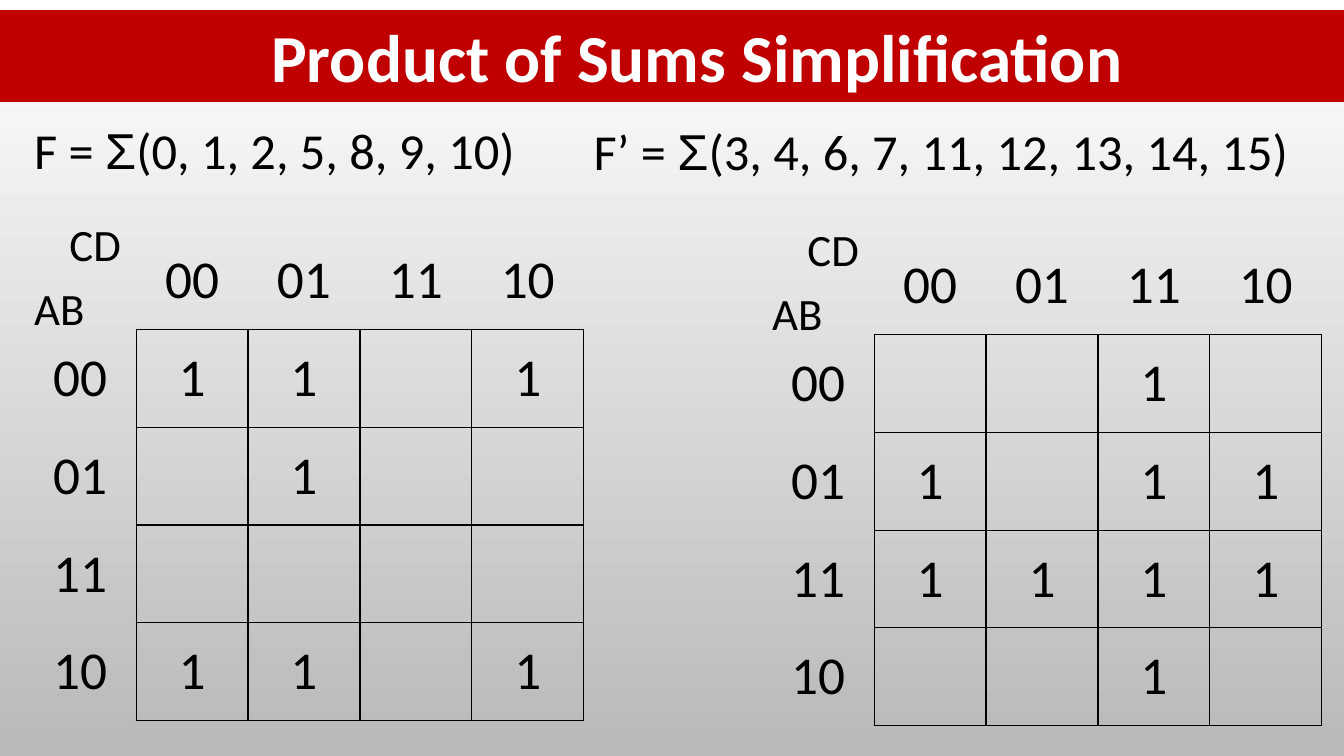
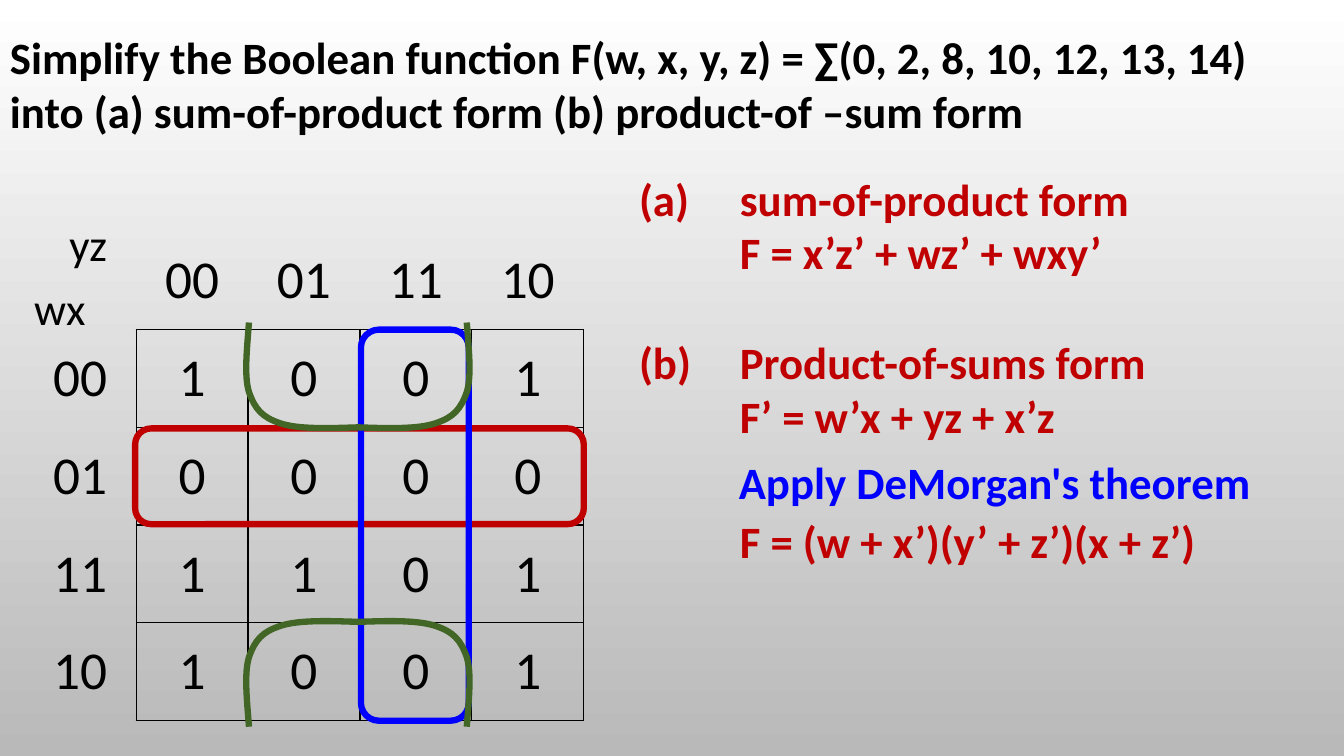
from dataclasses import dataclass

from lxml import etree
from pptx import Presentation
from pptx.dml.color import RGBColor
from pptx.enum.shapes import MSO_SHAPE
from pptx.enum.text import MSO_ANCHOR, PP_ALIGN
from pptx.oxml.ns import qn
from pptx.util import Pt

RECTANGLE = MSO_SHAPE.RECTANGLE
ROUNDED = MSO_SHAPE.ROUNDED_RECTANGLE
CENTER = PP_ALIGN.CENTER
MIDDLE = MSO_ANCHOR.MIDDLE

EMU_PER_PX = 9144
SLIDE_WIDTH, SLIDE_HEIGHT = 1333, 750
CELL_WIDTH, CELL_HEIGHT = 111, 97
GRAY_CODE = (0, 1, 3, 2)
HALF_ARCH = (
    (-108, 104), (-110, 78), (-113, 51), (-108, 35), (-102, 18),
    (-95, 10), (-77, 4), (-59, -2), (-29, -1), (0, 0),
)


@dataclass(frozen=True)
class Theme:
    """Colours, fonts and type sizes shared by the slides."""
    font: str = "Calibri"
    symbol_font: str = "Arial"
    black: str = "000000"
    white: str = "FFFFFF"
    gray: str = "B9B9B9"
    red: str = "C00000"
    blue: str = "0000FF"
    green: str = "426626"
    title_size: int = 48
    cell_size: int = 38
    formula_size: int = 36
    body_size: int = 32
    grid_line: int = 1
    loop_line: float = 4.5


THEME = Theme()


def px(length):
    """Turn px into EMU."""
    return length * EMU_PER_PX


def box_in_emu(box):
    """Turn a left, top, width, height box into EMU."""
    return [px(length) for length in box]


def style_paragraph(paragraph, size, color=THEME.black, bold=False):
    """Set the font of a whole paragraph."""
    font = paragraph.font
    font.name = THEME.font
    font.size = Pt(size)
    font.bold = bold
    font.color.rgb = RGBColor.from_string(color)


def set_indent(paragraph, margin, first_line=0):
    """Set the left margin and first-line indent of a paragraph."""
    properties = paragraph._p.get_or_add_pPr()
    properties.set("marL", str(px(margin)))
    properties.set("indent", str(px(first_line)))


def add_text(slide, box, lines, size=THEME.body_size, color=THEME.black,
             bold=False, spacing=None):
    """Add a text box with one paragraph per line and return its paragraphs."""
    frame = slide.shapes.add_textbox(*box_in_emu(box)).text_frame
    frame.word_wrap = True
    for index, line in enumerate(lines):
        paragraph = frame.paragraphs[0] if index == 0 else frame.add_paragraph()
        paragraph.add_run().text = line
        style_paragraph(paragraph, size, color, bold)
        if spacing:
            paragraph.line_spacing = spacing
    return frame.paragraphs


def add_background_slide(presentation):
    """Add a blank slide with the shared gradient background."""
    slide = presentation.slides.add_slide(presentation.slide_layouts[6])
    fill = slide.background.fill
    fill.gradient()
    fill.gradient_angle = 270
    for stop, color, position in zip(fill.gradient_stops, (THEME.white, THEME.gray), (0, 1)):
        stop.color.rgb = RGBColor.from_string(color)
        stop.position = position
    return slide


def draw_title_band(slide, box, title):
    """Draw the red band that carries the title."""
    band = slide.shapes.add_shape(RECTANGLE, *box_in_emu(box))
    band.shadow.inherit = False
    band.fill.solid()
    band.fill.fore_color.rgb = RGBColor.from_string(THEME.red)
    band.line.fill.background()
    band.text_frame.vertical_anchor = MIDDLE
    paragraph = band.text_frame.paragraphs[0]
    paragraph.text = title
    paragraph.alignment = CENTER
    set_indent(paragraph, 50)
    style_paragraph(paragraph, THEME.title_size, THEME.white, True)


def draw_formula(slide, box, name, minterms):
    """Write a function as a sum of its minterms."""
    numbers = ", ".join(str(minterm) for minterm in minterms)
    paragraph = add_text(slide, box, [f"{name} = "], THEME.formula_size, spacing=0.9)[0]
    symbol = paragraph.add_run()
    symbol.text = "Σ"
    symbol.font.name = THEME.symbol_font
    paragraph.add_run().text = f"({numbers})"


def set_borders(cell, visible_sides):
    """Draw the named sides of a cell and hide the others."""
    properties = cell._tc.get_or_add_tcPr()
    for side in "LRTB":
        line = etree.SubElement(properties, qn(f"a:ln{side}"), w=str(Pt(THEME.grid_line)))
        if side in visible_sides:
            fill = etree.SubElement(line, qn("a:solidFill"))
            etree.SubElement(fill, qn("a:srgbClr"), val=THEME.black)
        else:
            etree.SubElement(line, qn("a:noFill"))


def fill_cell(cell, text, visible_sides):
    """Fill one cell of a map."""
    set_borders(cell, visible_sides)
    cell.fill.background()
    cell.vertical_anchor = MIDDLE
    cell.margin_left = cell.margin_right = px(12)
    cell.margin_top = cell.margin_bottom = px(6)
    paragraph = cell.text_frame.paragraphs[0]
    paragraph.text = text
    paragraph.alignment = CENTER
    style_paragraph(paragraph, THEME.cell_size)


def draw_karnaugh_map(slide, left, top, variables, minterms, other=""):
    """Draw a four-variable map with ones at the minterms."""
    box = (left, top, 5 * CELL_WIDTH, 5 * CELL_HEIGHT)
    table = slide.shapes.add_table(5, 5, *box_in_emu(box)).table
    table.first_row = table.horz_banding = False
    for column in table.columns:
        column.width = px(CELL_WIDTH)
    for row in table.rows:
        row.height = px(CELL_HEIGHT)
    fill_cell(table.cell(0, 0), "", "")
    for index, code in enumerate(GRAY_CODE, 1):
        fill_cell(table.cell(0, index), f"{code:02b}", "B")
        fill_cell(table.cell(index, 0), f"{code:02b}", "R")
        for column, column_code in enumerate(GRAY_CODE, 1):
            mark = "1" if 4 * code + column_code in minterms else other
            fill_cell(table.cell(index, column), mark, "LRTB")
    add_text(slide, (left, top + 44, 90, 64), [variables[:2]])
    add_text(slide, (left + 35, top - 20, 90, 64), [variables[2:]])


def draw_loop(slide, box, color):
    """Draw a rounded outline around a group of cells."""
    loop = slide.shapes.add_shape(ROUNDED, *box_in_emu(box))
    loop.shadow.inherit = False
    loop.fill.background()
    loop.line.color.rgb = RGBColor.from_string(color)
    loop.line.width = Pt(THEME.loop_line)


def draw_arch(slide, center, bar, direction):
    """Draw half of a wrapped group, opening down (1) or up (-1)."""
    mirrored = [(-x, y) for x, y in reversed(HALF_ARCH[:-1])]
    points = [(center + x, bar + direction * y) for x, y in (*HALF_ARCH, *mirrored)]
    builder = slide.shapes.build_freeform(*points[0], scale=EMU_PER_PX)
    builder.add_line_segments(points[1:], close=False)
    arch = builder.convert_to_shape()
    arch.shadow.inherit = False
    arch.fill.background()
    arch.line.color.rgb = RGBColor.from_string(THEME.green)
    arch.line.width = Pt(THEME.loop_line)
    segments = list(arch._element.iter(qn("a:lnTo")))
    for start in range(0, len(segments), 3):
        curve = etree.Element(qn("a:cubicBezTo"))
        segments[start].addprevious(curve)
        for segment in segments[start:start + 3]:
            curve.append(segment[0])
            segment.getparent().remove(segment)


def draw_answer(slide, box, lines):
    """Write an answer with its label hanging left of the text."""
    for paragraph in add_text(slide, box, lines, color=THEME.red, bold=True):
        set_indent(paragraph, 100, -100 if "\t" in paragraph.text else 0)


def build_product_of_sums_slide(presentation):
    """Build the slide that maps a function and its complement."""
    slide = add_background_slide(presentation)
    ones = (0, 1, 2, 5, 8, 9, 10)
    zeros = [minterm for minterm in range(16) if minterm not in ones]
    draw_title_band(slide, (0, 10, SLIDE_WIDTH, 91), "Product of Sums Simplification")
    draw_formula(slide, (24, 120, 544, 65), "F", ones)
    draw_karnaugh_map(slide, 24, 230, "ABCD", ones)
    draw_formula(slide, (579, 121, 742, 65), "F’", zeros)
    draw_karnaugh_map(slide, 756, 235, "ABCD", zeros)


def build_exercise_slide(presentation):
    """Build the slide with the solved exercise."""
    slide = add_background_slide(presentation)
    left, top = 24, 230
    minterms = (0, 2, 8, 10, 12, 13, 14)
    numbers = ", ".join(str(minterm) for minterm in minterms)
    add_text(slide, (0, 25, SLIDE_WIDTH, 118), [
        f"Simplify the Boolean function F(w, x, y, z) = ∑({numbers})",
        "into (a) sum-of-product form (b) product-of –sum form",
    ], bold=True)
    draw_karnaugh_map(slide, left, top, "wxyz", minterms, "0")
    draw_answer(slide, (624, 165, 650, 118),
                ["(a)\tsum-of-product form", "F = x’z’ + wz’ + wxy’"])
    draw_loop(slide, (left + 110, top + 195, 445, 95), THEME.red)
    draw_loop(slide, (left + 334, top + 97, 107, 388), THEME.blue)
    draw_arch(slide, left + 331, top + 387, 1)
    draw_arch(slide, left + 331, top + 194, -1)
    draw_answer(slide, (624, 327, 650, 118),
                ["(b)\tProduct-of-sums form", "F’ = w’x + yz + x’z"])
    add_text(slide, (723, 433, 550, 77), ["Apply DeMorgan's theorem"],
             color=THEME.blue, bold=True, spacing=1.25)
    draw_answer(slide, (624, 505, 650, 64), ["F = (w + x’)(y’ + z’)(x + z’)"])


def main():
    """Build and save the presentation."""
    presentation = Presentation()
    presentation.slide_width = px(SLIDE_WIDTH)
    presentation.slide_height = px(SLIDE_HEIGHT)
    build_product_of_sums_slide(presentation)
    build_exercise_slide(presentation)
    presentation.save("out.pptx")


if __name__ == "__main__":
    main()
